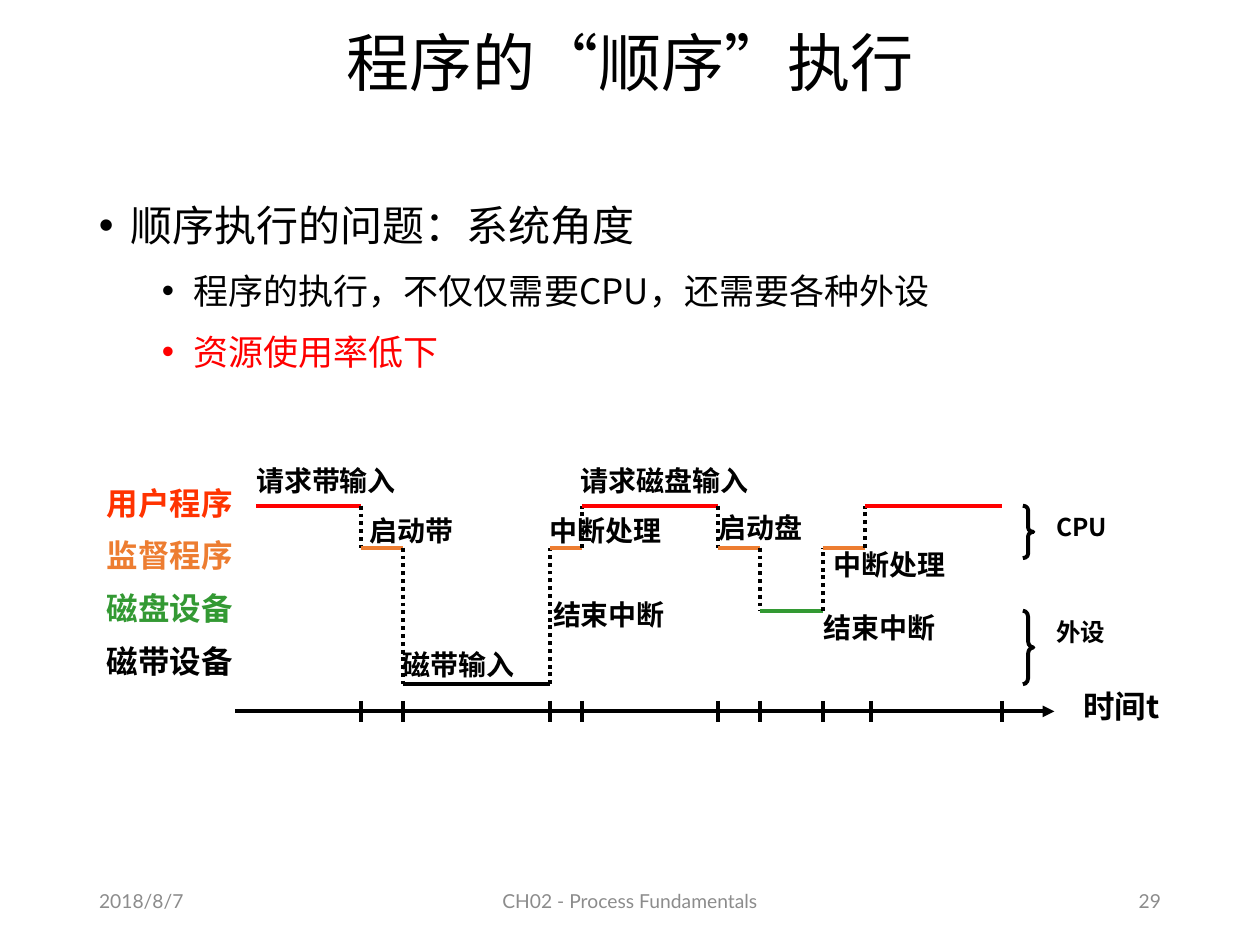
"""Build the slide on sequential execution and its timing chart."""
from lxml import etree
from pptx import Presentation
from pptx import util as u
from pptx.dml.color import RGBColor
from pptx.enum import dml, shapes, text
from pptx.oxml.ns import qn

Pt = u.Pt
HUES = {"black": "000000", "red": "FF0000", "user": "FF3300",
        "orange": "ED7D31", "green": "339933", "grey": "8C8C8C"}
CJK = "Noto Sans CJK SC"
ALIGN = text.PP_ALIGN
MID = text.MSO_ANCHOR.MIDDLE

deck = Presentation()
deck.slide_width, deck.slide_height = Pt(720), Pt(540)
slide = deck.slides.add_slide(deck.slide_layouts[5])


def write(rows, area, size, hue="black", bold=False, face=CJK,
          align=ALIGN.LEFT, inset=True, box=None):
    """Place rows of text in a box and format them."""
    left, top, width, height = map(Pt, area)
    if box is None:
        box = slide.shapes.add_textbox(left, top, width, height)
    box.left, box.top, box.width, box.height = left, top, width, height
    frame = box.text_frame
    frame.text = "\n".join(rows)
    frame.word_wrap = True
    if not inset:
        frame.margin_left = frame.margin_right = 0
        frame.margin_top = frame.margin_bottom = 0
    for par in frame.paragraphs:
        par.alignment = align
        font = par.runs[0].font
        font.size, font.bold, font.name = Pt(size), bold, face
        font.color.rgb = RGBColor.from_string(HUES[hue])
        etree.SubElement(par.runs[0]._r.rPr, qn("a:ea"), typeface=face)
    return frame


def draw(x1, y1, x2, y2, hue="black", dots=False):
    """Draw a straight line."""
    line = slide.shapes.add_connector(
        shapes.MSO_CONNECTOR.STRAIGHT, Pt(x1), Pt(y1), Pt(x2), Pt(y2))
    line.line.width = Pt(2.25)
    line.line.color.rgb = RGBColor.from_string(HUES[hue])
    if dots:
        line.line.dash_style = dml.MSO_LINE.ROUND_DOT
    etree.SubElement(line._element.spPr, qn("a:effectLst"))
    return line


head = write(["程序的“顺序”执行"], (49.5, 10, 621, 55), 36,
             align=ALIGN.CENTER, box=slide.shapes.title)
head.vertical_anchor = MID
head.paragraphs[0].line_spacing = 0.9

body = write(["顺序执行的问题：系统角度", "程序的执行，不仅仅需要CPU，还需要各种外设",
              "资源使用率低下"], (49.5, 103.5, 621, 387.5), 20)
for i, par in enumerate(body.paragraphs):
    props = par._p.get_or_add_pPr()
    props.set("marL", str(Pt(54 if i else 18)))
    props.set("indent", str(Pt(-18)))
    props.set("lvl", str(min(i, 1)))
    etree.SubElement(props, qn("a:buFont"), typeface="Arial")
    etree.SubElement(props, qn("a:buChar"), char="•")
    par.line_spacing = 1.25
    par.space_before = Pt(5 if i else 0)
body.paragraphs[0].runs[0].font.size = Pt(24)
body.paragraphs[2].runs[0].font.color.rgb = RGBColor.from_string(HUES["red"])

for words, left, width, align in (
        ("2018/8/7", 49.5, 162, ALIGN.LEFT),
        ("CH02 - Process Fundamentals", 238.5, 243, ALIGN.CENTER),
        ("29", 508.5, 162, ALIGN.RIGHT)):
    foot = write([words], (left, 500.5, width, 28.75), 11, "grey",
                 face="Lato", align=align)
    foot.vertical_anchor = MID

axis = draw(134.5, 406.5, 602.5, 406.5)
etree.SubElement(axis.line._get_or_add_ln(), qn("a:tailEnd"), type="triangle")
for x in (206.5, 230.5, 314.5, 332.5, 410.5, 434.5, 470.5, 497.5, 572.5):
    draw(x, 400.5, x, 412.5)
write(["时间t"], (612, 388.75, 72, 29), 18, bold=True)

names = write(["用户程序", "监督程序", "磁盘设备", "磁带设备"],
              (54, 268.5, 97, 138), 18, bold=True)
for i, hue in enumerate(("user", "orange", "green", "black")):
    par = names.paragraphs[i]
    par.line_spacing = 1.2
    par.space_before = Pt(4.3 if i else 0)
    par.runs[0].font.color.rgb = RGBColor.from_string(HUES[hue])

USER, WATCH, DISK, TAPE = (289, "red"), (313, "orange"), (349, "green"), (391, "black")
edges = (146.5, 206.5, 230.5, 314.5, 332.5, 410.5, 434.5, 470.5, 494.5, 572.5)
steps = (USER, WATCH, TAPE, WATCH, USER, WATCH, DISK, WATCH, USER)
for i, (y, hue) in enumerate(steps):
    if i:
        draw(edges[i], steps[i - 1][0], edges[i], y, dots=True)
    draw(edges[i], y, edges[i + 1], y, hue)

for words, top, tall, bend in (("CPU", 289, 30, 0.42), ("外设", 349, 42, 0.58)):
    write([words], (596.5, top, 78, 24.5), 14, bold=True)
    brace = slide.shapes.add_shape(
        shapes.MSO_SHAPE.RIGHT_BRACE, Pt(584.5), Pt(top), Pt(6), Pt(tall))
    brace.adjustments[0] = bend
    brace.shadow.inherit = False
    brace.fill.background()
    brace.line.width = Pt(2.25)
    brace.line.color.rgb = RGBColor.from_string(HUES["black"])

for words, left, top, width in (
        ("请求带输入", 146.5, 265, 102), ("启动带", 211, 293.5, 66),
        ("磁带输入", 230, 370, 84), ("结束中断", 316, 341.5, 84),
        ("中断处理", 314, 293.5, 84), ("请求磁盘输入", 332, 265, 126),
        ("启动盘", 410.5, 291.5, 66), ("结束中断", 470.5, 349, 84),
        ("中断处理", 476.5, 313, 84)):
    write([words], (left, top, width, 19.5), 16, bold=True, inset=False)

deck.save("out.pptx")
